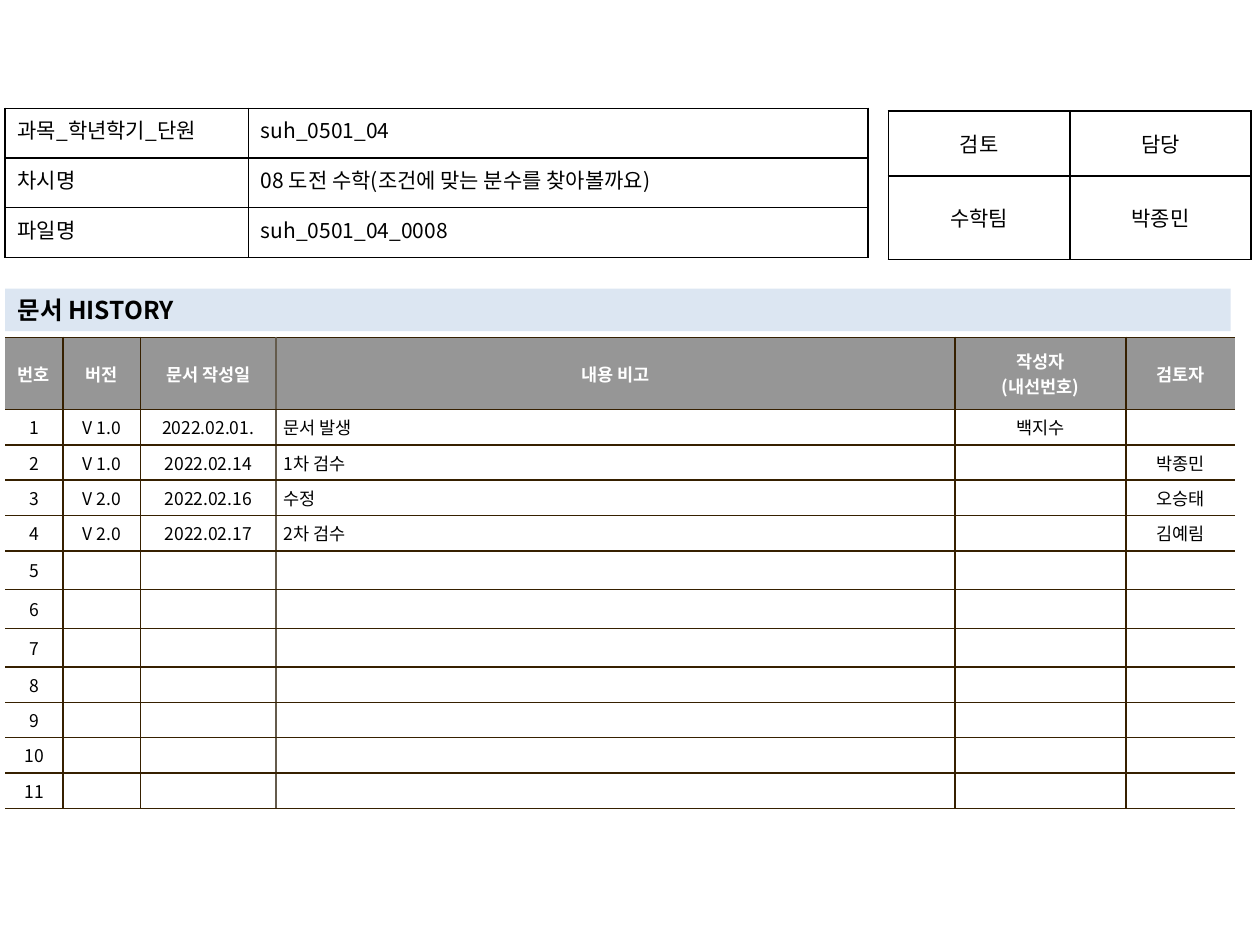
"""Build a document history slide with a lesson summary, an approval grid and a revision log."""
import pptx
import pptx.dml.color
import pptx.enum.shapes
import pptx.enum.text
import pptx.oxml.ns
import pptx.util
from lxml import etree

Pt = pptx.util.Pt
ALIGN = pptx.enum.text.PP_ALIGN
ANCHOR = pptx.enum.text.MSO_ANCHOR
qn = pptx.oxml.ns.qn

FONT = "Noto Sans CJK KR"
COLORS = {
    "text": "000000", "white": "FFFFFF", "header": "969696", "band": "DCE6F2",
    "grid": "000000", "log_line": "362000", "date_line": "645B4C",
}

LESSON = [
    ("과목_학년학기_단원", "suh_0501_04"),
    ("차시명", "08 도전 수학(조건에 맞는 분수를 찾아볼까요)"),
    ("파일명", "suh_0501_04_0008"),
]
APPROVAL = [("검토", "담당"), ("수학팀", "박종민")]
TITLE = "문서 HISTORY"
LOG_HEADER = ("번호", "버전", "문서 작성일", "내용 비고", "작성자\n(내선번호)", "검토자")
REVISIONS = [
    ("V 1.0", "2022.02.01.", "문서 발생", "백지수", ""),
    ("V 1.0", "2022.02.14", "1차 검수", "", "박종민"),
    ("V 2.0", "2022.02.16", "수정", "", "오승태"),
    ("V 2.0", "2022.02.17", "2차 검수", "", "김예림"),
]
LOG_SIZE = 11
BLANK = ("",) * 5
LOG = [LOG_HEADER] + [
    (str(number + 1), *(REVISIONS[number] if number < len(REVISIONS) else BLANK))
    for number in range(LOG_SIZE)
]
LOG_HEIGHTS = [41.2] + [20.1] * 4 + [22.1] * 3 + [20.1] * 4
NOTE_COLUMN, REVIEWER_COLUMN = 3, 5
HANGING = {NOTE_COLUMN: 13.5, REVIEWER_COLUMN: 6.75}


def rgb(name):
    return pptx.dml.color.RGBColor.from_string(COLORS[name])


def style_text(frame, size, color, bold=False, align=ALIGN.LEFT, hanging=0):
    for para in frame.paragraphs:
        para.alignment = align
        if hanging:
            properties = para._p.get_or_add_pPr()
            properties.set("marL", str(Pt(hanging)))
            properties.set("indent", str(-Pt(hanging)))
        for span in para.runs:
            span.font.size = Pt(size)
            span.font.bold = bold
            span.font.color.rgb = rgb(color)
            span.font.name = FONT
            etree.SubElement(span._r.rPr, qn("a:ea"), typeface=FONT)
        if not para.runs:
            etree.SubElement(para._p, qn("a:endParaRPr"), sz=str(size * 100))


def draw_borders(cell, colors):
    for side, color in zip("LRTB", colors):
        line = etree.SubElement(cell._tc.get_or_add_tcPr(), qn("a:ln" + side), w=str(Pt(1)))
        if color:
            fill = etree.SubElement(line, qn("a:solidFill"))
            etree.SubElement(fill, qn("a:srgbClr"), val=COLORS[color])
        else:
            etree.SubElement(line, qn("a:noFill"))


def add_grid(slide, rows, left, top, widths, heights, inset):
    frame = slide.shapes.add_table(
        len(rows), len(widths), Pt(left), Pt(top), Pt(sum(widths)), Pt(sum(heights)))
    table = frame.table
    table.first_row = table.horz_banding = False
    for column, width in zip(table.columns, widths):
        column.width = Pt(width)
    for row, height in zip(table.rows, heights):
        row.height = Pt(height)
    for r, texts in enumerate(rows):
        for c, text in enumerate(texts):
            cell = table.cell(r, c)
            cell.margin_left = cell.margin_right = Pt(inset[0])
            cell.margin_top = cell.margin_bottom = Pt(inset[1])
            cell.text_frame.text = text
            yield r, c, cell


def add_lesson(slide):
    for _, c, cell in add_grid(slide, LESSON, 2.9, 61.9, [139, 354.2], [28.4] * 3, (7.2, 3.6)):
        style_text(cell.text_frame, 12, "text", align=ALIGN.LEFT if c else ALIGN.JUSTIFY)
        draw_borders(cell, ["grid"] * 4)
        cell.fill.background()


def add_approval(slide):
    for _, _, cell in add_grid(slide, APPROVAL, 507.6, 63.4, [103.7] * 2, [37.1, 47.9], (7.2, 3.6)):
        cell.vertical_anchor = ANCHOR.MIDDLE
        style_text(cell.text_frame, 12, "text", align=ALIGN.CENTER)
        draw_borders(cell, ["grid"] * 4)
        cell.fill.background()


def add_title(slide):
    box = slide.shapes.add_shape(
        pptx.enum.shapes.MSO_SHAPE.RECTANGLE, Pt(2.9), Pt(165), Pt(700.3), Pt(24.2))
    box.shadow.inherit = False
    box.fill.solid()
    box.fill.fore_color.rgb = rgb("band")
    box.line.fill.background()
    frame = box.text_frame
    frame.word_wrap = True
    frame.auto_size = pptx.enum.text.MSO_AUTO_SIZE.SHAPE_TO_FIT_TEXT
    frame.vertical_anchor = ANCHOR.TOP
    frame.text = TITLE
    style_text(frame, 14, "text", bold=True)


def add_log(slide):
    widths = [33.1, 44.2, 77.6, 388, 97.8, 62.5]
    verticals = [None, "log_line", "log_line", "date_line", "log_line", "log_line", None]
    for r, c, cell in add_grid(slide, LOG, 2.9, 192.8, widths, LOG_HEIGHTS, (4.3, 2.9)):
        header = r == 0
        cell.vertical_anchor = ANCHOR.MIDDLE
        style_text(
            cell.text_frame, 10, "white" if header else "text", bold=header,
            align=ALIGN.LEFT if c == NOTE_COLUMN and not header else ALIGN.CENTER,
            hanging=0 if header else HANGING.get(c, 0))
        draw_borders(cell, [verticals[c], verticals[c + 1], "log_line", "log_line"])
        cell.fill.solid()
        cell.fill.fore_color.rgb = rgb("header" if header else "white")


def main():
    deck = pptx.Presentation()
    deck.slide_width, deck.slide_height = Pt(720), Pt(540)
    slide = deck.slides.add_slide(deck.slide_layouts[6])
    add_log(slide)
    add_approval(slide)
    add_title(slide)
    add_lesson(slide)
    deck.save("out.pptx")


if __name__ == "__main__":
    main()
